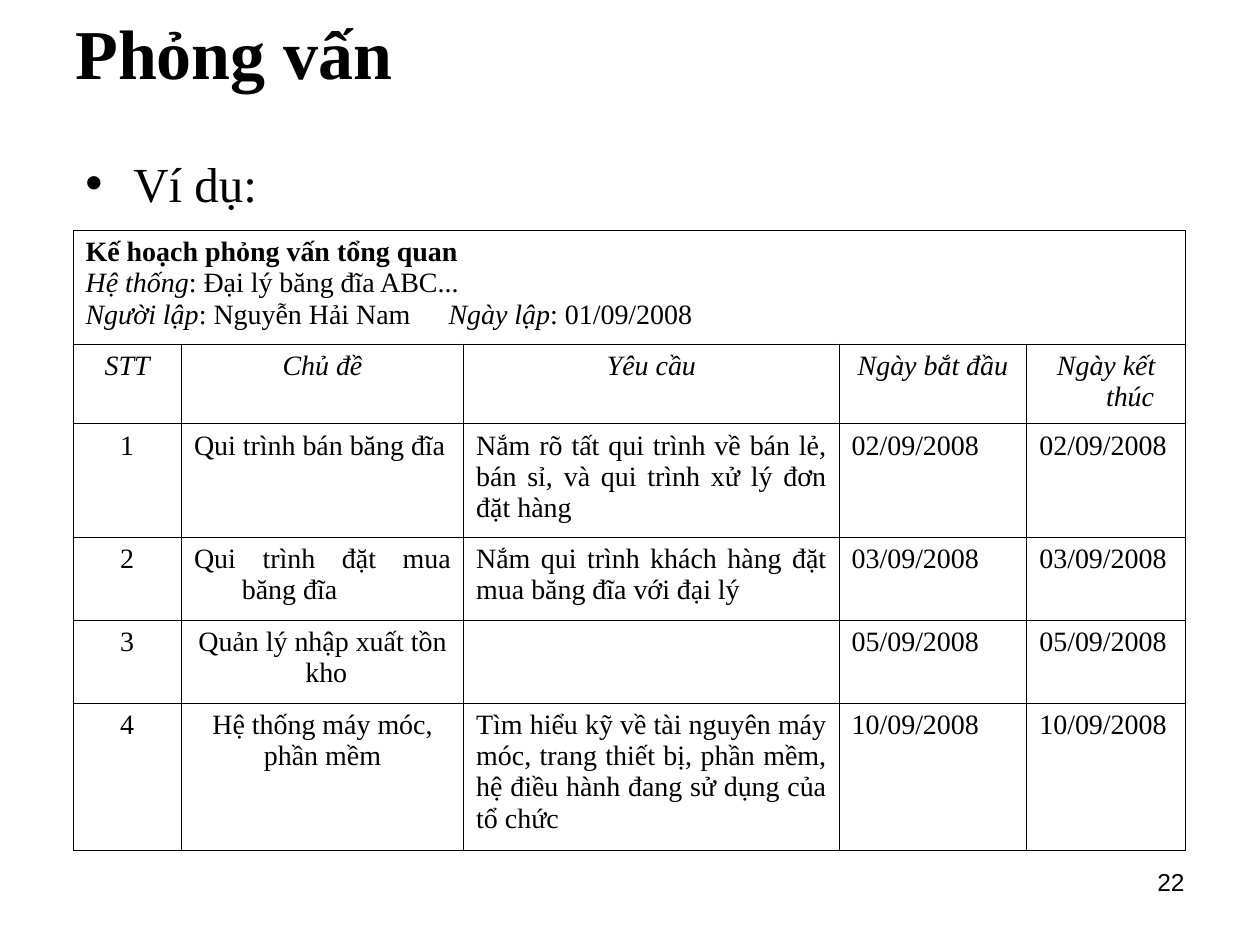
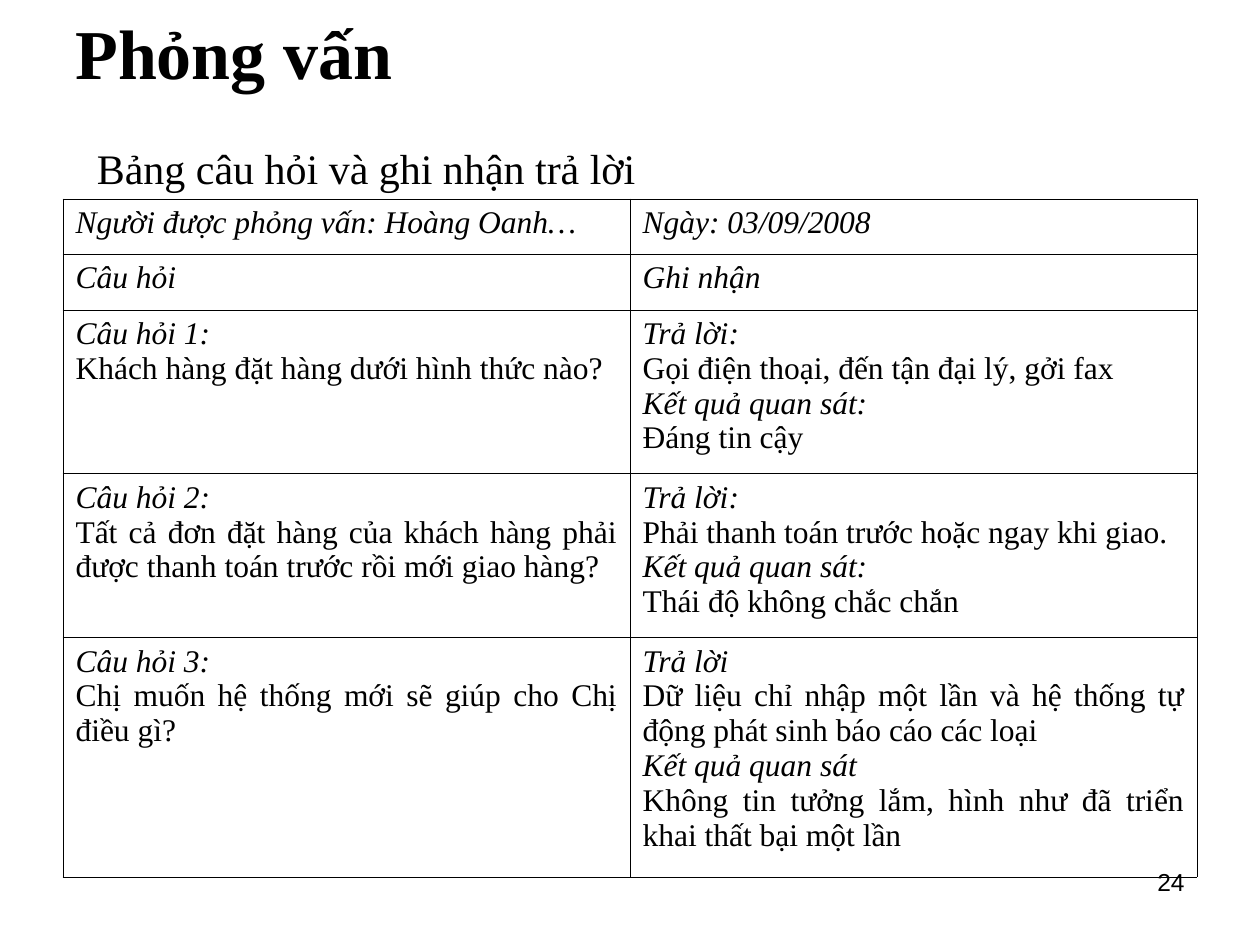
import pptx
import pptx.dml.color
import pptx.enum.text
import pptx.oxml
import pptx.oxml.ns
import pptx.util
from lxml import etree

Inches = pptx.util.Inches
Pt = pptx.util.Pt
ALIGN = pptx.enum.text.PP_ALIGN
COLORS = {"text": "000000", "border": "000000"}
SERIF = "Times New Roman"
SANS = "Arial"
HANGING = 0.38
BORDER_WIDTH = 0.45


def add_element(parent, tag, **attributes):
    return etree.SubElement(parent, pptx.oxml.ns.qn(tag), attributes)


def style_paragraph(paragraph, size, name=SERIF, bold=False, italic=False, align=ALIGN.LEFT):
    paragraph.alignment = align
    font = paragraph.font
    font.size = Pt(size)
    font.name = name
    font.bold = bold
    font.italic = italic
    font.color.rgb = pptx.dml.color.RGBColor.from_string(COLORS["text"])


def set_indent(paragraph, indent):
    properties = paragraph._p.get_or_add_pPr()
    properties.set("marL", str(Inches(indent)))
    properties.set("indent", str(-Inches(indent)))
    return properties


def add_text(slide, box, text, anchor=pptx.enum.text.MSO_ANCHOR.TOP, bullet=None, **style):
    frame = slide.shapes.add_textbox(*map(Inches, box)).text_frame
    frame.word_wrap = True
    frame.vertical_anchor = anchor
    paragraph = frame.paragraphs[0]
    paragraph.text = text
    if bullet:
        properties = set_indent(paragraph, HANGING)
        add_element(properties, "a:buFont", typeface=SANS)
        add_element(properties, "a:buChar", char=bullet)
    style_paragraph(paragraph, **style)


def add_frame(presentation, number):
    slide = presentation.slides.add_slide(presentation.slide_layouts[6])
    add_text(slide, (7.17, 6.83, 2.33, 0.52), str(number), size=14, name=SANS, align=ALIGN.RIGHT)
    add_text(slide, (0.5, 0.3, 9, 0.21), "Phỏng vấn", size=40, bold=True,
             anchor=pptx.enum.text.MSO_ANCHOR.MIDDLE)
    return slide


def add_grid(slide, left, top, columns, rows):
    frame = slide.shapes.add_table(len(rows), len(columns), Inches(left), Inches(top),
                                   Inches(sum(columns)), Inches(sum(rows)))
    table = frame.table
    table.first_row = table.horz_banding = False
    for column, width in zip(table.columns, columns):
        column.width = Inches(width)
    for row, height in zip(table.rows, rows):
        row.height = Inches(height)
    for cell in table.iter_cells():
        properties = cell._tc.get_or_add_tcPr()
        for side in ("a:lnL", "a:lnR", "a:lnT", "a:lnB"):
            line = add_element(properties, side, w=str(Pt(BORDER_WIDTH)))
            add_element(add_element(line, "a:solidFill"), "a:srgbClr", val=COLORS["border"])
        cell.fill.background()
    return table


def fill_cell(cell, lines, size, align=ALIGN.JUSTIFY, indent=0):
    frame = cell.text_frame
    for index, (text, italic) in enumerate(lines):
        paragraph = frame.add_paragraph() if index else frame.paragraphs[0]
        paragraph.text = text
        set_indent(paragraph, indent)
        style_paragraph(paragraph, size, italic=italic, align=align)


def fill_plan_heading(cell, size):
    lines = [
        [("Kế hoạch phỏng vấn tổng quan", True, False)],
        [("Hệ thống", False, True), (": Đại lý băng đĩa ABC...", False, False)],
        [("Người lập", False, True), (": Nguyễn Hải Nam\t", False, False),
         ("Ngày lập", False, True), (": 01/09/2008", False, False)],
    ]
    for index, pieces in enumerate(lines):
        paragraph = cell.text_frame.add_paragraph() if index else cell.text_frame.paragraphs[0]
        properties = set_indent(paragraph, HANGING)
        add_element(add_element(properties, "a:tabLst"), "a:tab", pos=str(Inches(4)), algn="l")
        style_paragraph(paragraph, size, align=ALIGN.JUSTIFY)
        for text, bold, italic in pieces:
            run = paragraph.add_run()
            run.text = text
            run.font.bold = bold
            run.font.italic = italic


def build_plan_slide(presentation):
    slide = add_frame(presentation, 22)
    add_text(slide, (0.58, 1.17, 4.42, 0.58), "Ví dụ:", bullet="•", size=28, align=ALIGN.JUSTIFY)
    table = add_grid(slide, 0.58, 1.83, [0.86, 2.24, 2.98, 1.49, 1.26],
                     [0.9, 0.63, 0.9, 0.66, 0.66, 1.17])
    size = 16
    table.cell(0, 0).merge(table.cell(0, 4))
    fill_plan_heading(table.cell(0, 0), size)
    headings = ["STT", "Chủ đề", "Yêu cầu", "Ngày bắt đầu", "Ngày kết thúc"]
    for column, heading in enumerate(headings):
        fill_cell(table.cell(1, column), [(heading, True)], size, ALIGN.CENTER, HANGING)
    topics = [
        ("Qui trình bán băng đĩa", ALIGN.JUSTIFY, HANGING,
         "Nắm rõ tất qui trình về bán lẻ, bán sỉ, và qui trình xử lý đơn đặt hàng", "02/09/2008"),
        ("Qui trình đặt mua băng đĩa", ALIGN.JUSTIFY, HANGING,
         "Nắm qui trình khách hàng đặt mua băng đĩa với đại lý", "03/09/2008"),
        ("Quản lý nhập xuất tồn kho", ALIGN.CENTER, 0.06, "", "05/09/2008"),
        ("Hệ thống máy móc, phần mềm", ALIGN.CENTER, 0,
         "Tìm hiểu kỹ về tài nguyên máy móc, trang thiết bị, phần mềm, "
         "hệ điều hành đang sử dụng của tổ chức", "10/09/2008"),
    ]
    for number, (topic, align, indent, requirement, date) in enumerate(topics, 1):
        row = number + 1
        fill_cell(table.cell(row, 0), [(str(number), False)], size, ALIGN.CENTER, HANGING)
        fill_cell(table.cell(row, 1), [(topic, False)], size, align, indent)
        fill_cell(table.cell(row, 2), [(requirement, False)], size)
        for column in (3, 4):
            fill_cell(table.cell(row, column), [(date, False)], size, indent=HANGING)


def build_answers_slide(presentation):
    slide = add_frame(presentation, 24)
    table = add_grid(slide, 0.5, 1.58, [4.5, 4.5], [0.44, 0.44, 1.3, 1.3, 1.9])
    size = 18
    headings = [("Người được phỏng vấn: Hoàng Oanh…", "Ngày: 03/09/2008"),
                ("Câu hỏi", "Ghi nhận")]
    for row, pair in enumerate(headings):
        for column, heading in enumerate(pair):
            fill_cell(table.cell(row, column), [(heading, True)], size, indent=HANGING)
    interviews = [
        ("Khách hàng đặt hàng dưới hình thức nào?",
         "Gọi điện thoại, đến tận đại lý, gởi fax", "Đáng tin cậy", ":", HANGING),
        ("Tất cả đơn đặt hàng của khách hàng phải được thanh toán trước rồi mới giao hàng?",
         "Phải thanh toán trước hoặc ngay khi giao.", "Thái độ không chắc chắn", ":", HANGING),
        ("Chị muốn hệ thống mới sẽ giúp cho Chị điều gì?",
         "Dữ liệu chỉ nhập một lần và hệ thống tự động phát sinh báo cáo các loại",
         "Không tin tưởng lắm, hình như đã triển khai thất bại một lần", "", 0),
    ]
    for number, (question, answer, observation, mark, indent) in enumerate(interviews, 1):
        row = number + 1
        fill_cell(table.cell(row, 0), [(f"Câu hỏi {number}:", True), (question, False)], size)
        fill_cell(table.cell(row, 1), [
            (f"Trả lời{mark}", True), (answer, False),
            (f"Kết quả quan sát{mark}", True), (observation, False),
        ], size, indent=indent)
    add_text(slide, (0.67, 1.08, 6.85, 0.5), "Bảng câu hỏi và ghi nhận trả lời", size=24)


def main():
    presentation = pptx.Presentation()
    presentation.slide_width = Inches(10)
    presentation.slide_height = Inches(7.5)
    build_plan_slide(presentation)
    build_answers_slide(presentation)
    presentation.save("out.pptx")


if __name__ == "__main__":
    main()
